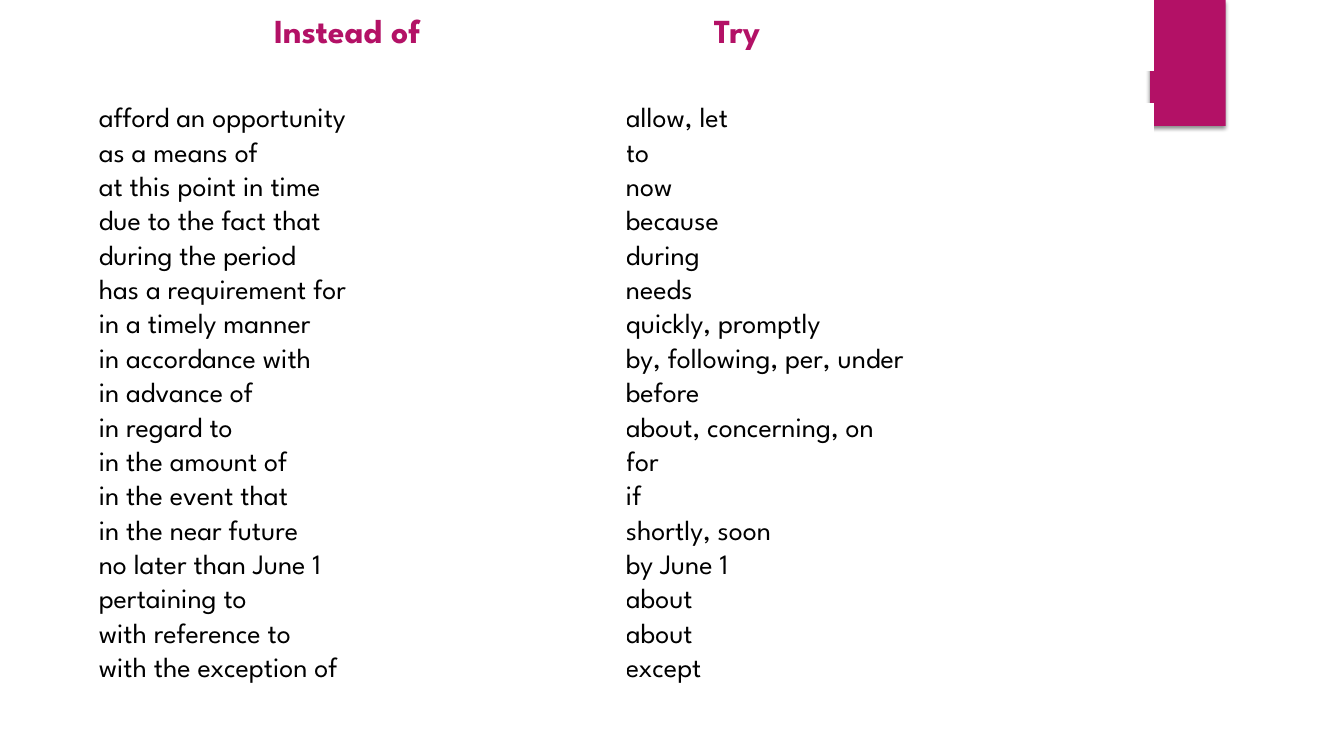
from lxml import etree
from pptx import Presentation
from pptx.dml.color import RGBColor
from pptx.enum.shapes import MSO_SHAPE
from pptx.enum.text import MSO_ANCHOR
from pptx.oxml.ns import qn
from pptx.util import Pt

RECT = MSO_SHAPE.RECTANGLE
MIDDLE = MSO_ANCHOR.MIDDLE
FONT = "League Spartan"
MAGENTA, BLACK, WHITE = "B31166", "000000", "FFFFFF"
RIGHT_EDGE = 823.68

HEADINGS = [("Instead of", "Try")]
PHRASES = [
    ("afford an opportunity", "allow, let"),
    ("as a means of", "to"),
    ("at this point in time", "now"),
    ("due to the fact that", "because"),
    ("during the period", "during"),
    ("has a requirement for", "needs"),
    ("in a timely manner", "quickly, promptly"),
    ("in accordance with", "by, following, per, under"),
    ("in advance of", "before"),
    ("in regard to", "about, concerning, on"),
    ("in the amount of", "for"),
    ("in the event that", "if"),
    ("in the near future", "shortly, soon"),
    ("no later than June 1", "by June 1"),
    ("pertaining to", "about"),
    ("with reference to", "about"),
    ("with the exception of", "except"),
]


def rgb(value):
    """Turn a hex string into a colour."""
    return RGBColor.from_string(value)


def add_ribbon(s, x, y, w, h):
    """Draw the magenta ribbon with its soft shadow below."""
    sp = s.shapes.add_shape(RECT, Pt(x), Pt(y), Pt(w), Pt(h))
    sp.fill.solid()
    sp.fill.fore_color.rgb = rgb(MAGENTA)
    sp.line.fill.background()
    sp.shadow.inherit = False
    effects = sp._element.spPr.find(qn("a:effectLst"))
    shadow = etree.SubElement(effects, qn("a:outerShdw"), blurRad=str(Pt(3)),
                              dist=str(Pt(2)), dir="5400000", rotWithShape="0")
    color = etree.SubElement(shadow, qn("a:srgbClr"), val=BLACK)
    etree.SubElement(color, qn("a:alpha"), val="45000")


def add_word_table(s, x, y, w, h, rows, size, color, bold=False):
    """Fill the given box with a plain two-column table of wordings."""
    table = s.shapes.add_table(len(rows), 2, Pt(x), Pt(y), Pt(w), Pt(h)).table
    table.first_row = table.horz_banding = False
    for column in table.columns:
        column.width = Pt(w / 2)
    for i, texts in enumerate(rows):
        table.rows[i].height = Pt(h / len(rows))
        for j, text in enumerate(texts):
            cell = table.cell(i, j)
            cell.fill.solid()
            cell.fill.fore_color.rgb = rgb(WHITE)
            cell.vertical_anchor = MIDDLE
            cell.margin_left = cell.margin_right = 0
            cell.margin_top = cell.margin_bottom = 0
            r = cell.text_frame.paragraphs[0].add_run()
            r.text = text
            r.font.name = FONT
            r.font.size = Pt(size)
            r.font.bold = bold
            r.font.color.rgb = rgb(color)


def main():
    """Build the slide and save it."""
    prs = Presentation()
    prs.slide_width, prs.slide_height = Pt(960), Pt(540)
    s = prs.slides.add_slide(prs.slide_layouts[6])
    add_ribbon(s, 821.5, 0, 54, 90)
    add_word_table(s, 195.84, 0, RIGHT_EDGE - 195.84, 50.4,
                   HEADINGS, 24, MAGENTA, True)
    add_word_table(s, 70.56, 74.16, RIGHT_EDGE - 70.56, 417.6,
                   PHRASES, 20, BLACK)
    prs.save("out.pptx")


if __name__ == "__main__":
    main()
